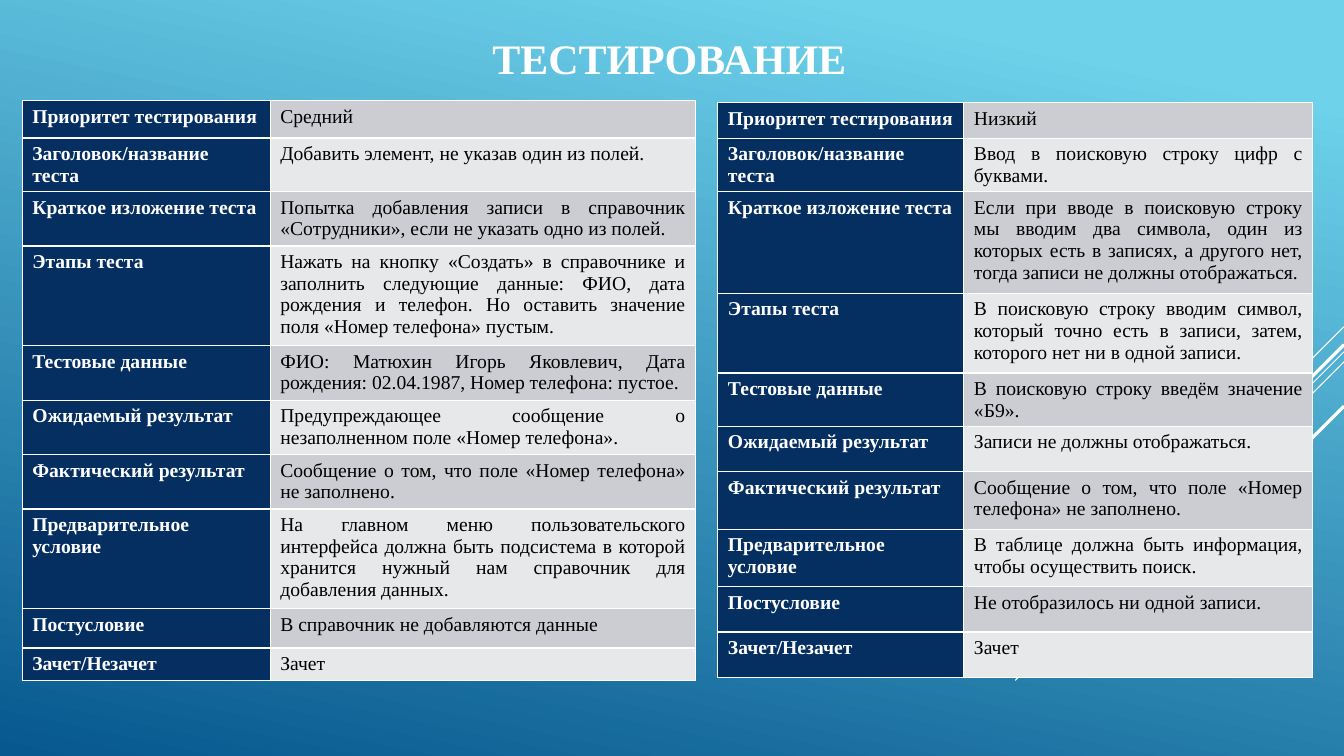
from dataclasses import dataclass

from lxml import etree
from pptx import Presentation
from pptx.dml.color import RGBColor
from pptx.enum.shapes import MSO_CONNECTOR
from pptx.enum.text import MSO_ANCHOR, MSO_AUTO_SIZE, PP_ALIGN
from pptx.oxml import parse_xml
from pptx.oxml.ns import nsdecls, qn
from pptx.util import Emu, Pt

STRAIGHT = MSO_CONNECTOR.STRAIGHT
MIDDLE = MSO_ANCHOR.MIDDLE
NO_AUTOFIT = MSO_AUTO_SIZE.NONE
CENTER, JUSTIFY = PP_ALIGN.CENTER, PP_ALIGN.JUSTIFY

WHITE = RGBColor(0xFF, 0xFF, 0xFF)
BLACK = RGBColor(0x00, 0x00, 0x00)
SKY = RGBColor(0x6E, 0xD2, 0xEB)
OCEAN = RGBColor(0x06, 0x58, 0x8E)
NAVY = RGBColor(0x05, 0x2F, 0x61)
BANDS = (RGBColor(0xCC, 0xCD, 0xD2), RGBColor(0xE7, 0xE8, 0xEA))

FONT = "Times New Roman"
PX = 9144  # 100 px to the inch
TITLE_ONLY = 5


@dataclass
class Ray:
    """A diagonal at 45 degrees running down-left from the right edge."""
    top: int
    reach: int
    weight: float


@dataclass
class TestCase:
    left: int
    top: int
    columns: tuple[int, int]
    rows: tuple[int, ...]
    values: tuple[str, ...]


RAYS = (
    Ray(324, 100, 0.75),
    Ray(349, 326, 0.75),
    Ray(359, 207, 0.75),
    Ray(342, 191, 2.25),
    Ray(403, 139, 2.25),
)

FIELDS = (
    "Приоритет тестирования",
    "Заголовок/название теста",
    "Краткое изложение теста",
    "Этапы теста",
    "Тестовые данные",
    "Ожидаемый результат",
    "Фактический результат",
    "Предварительное условие",
    "Постусловие",
    "Зачет/Незачет",
)

TEST_CASES = (
    TestCase(22, 100, (246, 422), (37, 39, 54, 99, 54, 54, 54, 99, 39, 32), (
        "Средний",
        "Добавить элемент, не указав один из полей.",
        "Попытка добавления записи в справочник «Сотрудники», "
        "если не указать одно из полей.",
        "Нажать на кнопку «Создать» в справочнике и заполнить следующие данные: "
        "ФИО, дата рождения и телефон. Но оставить значение поля "
        "«Номер телефона» пустым.",
        "ФИО: Матюхин Игорь Яковлевич, Дата рождения: 02.04.1987, "
        "Номер телефона: пустое.",
        "Предупреждающее сообщение о незаполненном поле «Номер телефона».",
        "Сообщение о том, что поле «Номер телефона» не заполнено.",
        "На главном меню пользовательского интерфейса должна быть подсистема "
        "в которой хранится нужный нам справочник для добавления данных.",
        "В справочник не добавляются данные",
        "Зачет",
    )),
    TestCase(712, 102, (244, 346), (35, 45, 101, 79, 45, 45, 57, 57, 45, 45), (
        "Низкий",
        "Ввод в поисковую строку цифр с буквами.",
        "Если при вводе в поисковую строку мы вводим два символа, один из которых "
        "есть в записях, а другого нет, тогда записи не должны отображаться.",
        "В поисковую строку вводим символ, который точно есть в записи, затем, "
        "которого нет ни в одной записи.",
        "В поисковую строку введём значение «Б9».",
        "Записи не должны отображаться.",
        "Сообщение о том, что поле «Номер телефона» не заполнено.",
        "В таблице должна быть информация, чтобы осуществить поиск.",
        "Не отобразилось ни одной записи.",
        "Зачет",
    )),
)


def px(length: int) -> Emu:
    return Emu(length * PX)


def write(frame, text: str, size: int, color: RGBColor, bold: bool, align) -> None:
    frame.text = text
    para = frame.paragraphs[0]
    para.alignment = align
    font = para.runs[0].font
    font.name, font.size, font.bold = FONT, Pt(size), bold
    font.color.rgb = color


def paint_background(page) -> None:
    fill = page.background.fill
    fill.gradient()
    fill.gradient_angle = 258
    for stop, color, position in zip(fill.gradient_stops, (SKY, OCEAN), (0.1, 1)):
        stop.color.rgb = color
        stop.position = position


def draw_ray(page, ray: Ray, right: int) -> None:
    line = page.shapes.add_connector(
        STRAIGHT, px(right), px(ray.top), px(right - ray.reach), px(ray.top + ray.reach))
    line.line.color.rgb = WHITE
    line.line.width = Pt(ray.weight)
    etree.SubElement(line._element.spPr, qn("a:effectLst"))


def outline_cell(cell) -> None:
    properties = cell._tc.get_or_add_tcPr()
    for index, side in enumerate(("lnL", "lnR", "lnT", "lnB")):
        properties.insert(index, parse_xml(
            f'<a:{side} {nsdecls("a")} w="12700"><a:solidFill>'
            f'<a:srgbClr val="{WHITE}"/></a:solidFill></a:{side}>'))


def fill_cell(cell, text: str, fill: RGBColor, color: RGBColor, bold: bool) -> None:
    write(cell.text_frame, text, 14, color, bold, JUSTIFY)
    cell.fill.solid()
    cell.fill.fore_color.rgb = fill
    outline_cell(cell)


def draw_test_case(page, case: TestCase) -> None:
    table = page.shapes.add_table(
        len(FIELDS), 2, px(case.left), px(case.top),
        px(sum(case.columns)), px(sum(case.rows))).table
    table.first_row = table.horz_banding = False
    for column, width in zip(table.columns, case.columns):
        column.width = px(width)
    for index, (field, value) in enumerate(zip(FIELDS, case.values)):
        table.rows[index].height = px(case.rows[index])
        fill_cell(table.cell(index, 0), field, NAVY, WHITE, True)
        fill_cell(table.cell(index, 1), value, BANDS[index % 2], BLACK, False)


def place_title(page) -> None:
    title = page.shapes.title
    title.left, title.top, title.width, title.height = map(px, (370, 24, 588, 66))
    frame = title.text_frame
    frame.auto_size = NO_AUTOFIT
    frame.vertical_anchor = MIDDLE
    write(frame, "ТЕСТИРОВАНИЕ", 30, WHITE, True, CENTER)


def main() -> None:
    deck = Presentation()
    deck.slide_width, deck.slide_height = px(1333), px(750)
    page = deck.slides.add_slide(deck.slide_layouts[TITLE_ONLY])
    paint_background(page)
    place_title(page)
    for ray in RAYS:
        draw_ray(page, ray, 1333)
    for case in TEST_CASES:
        draw_test_case(page, case)
    deck.save("out.pptx")


if __name__ == "__main__":
    main()
